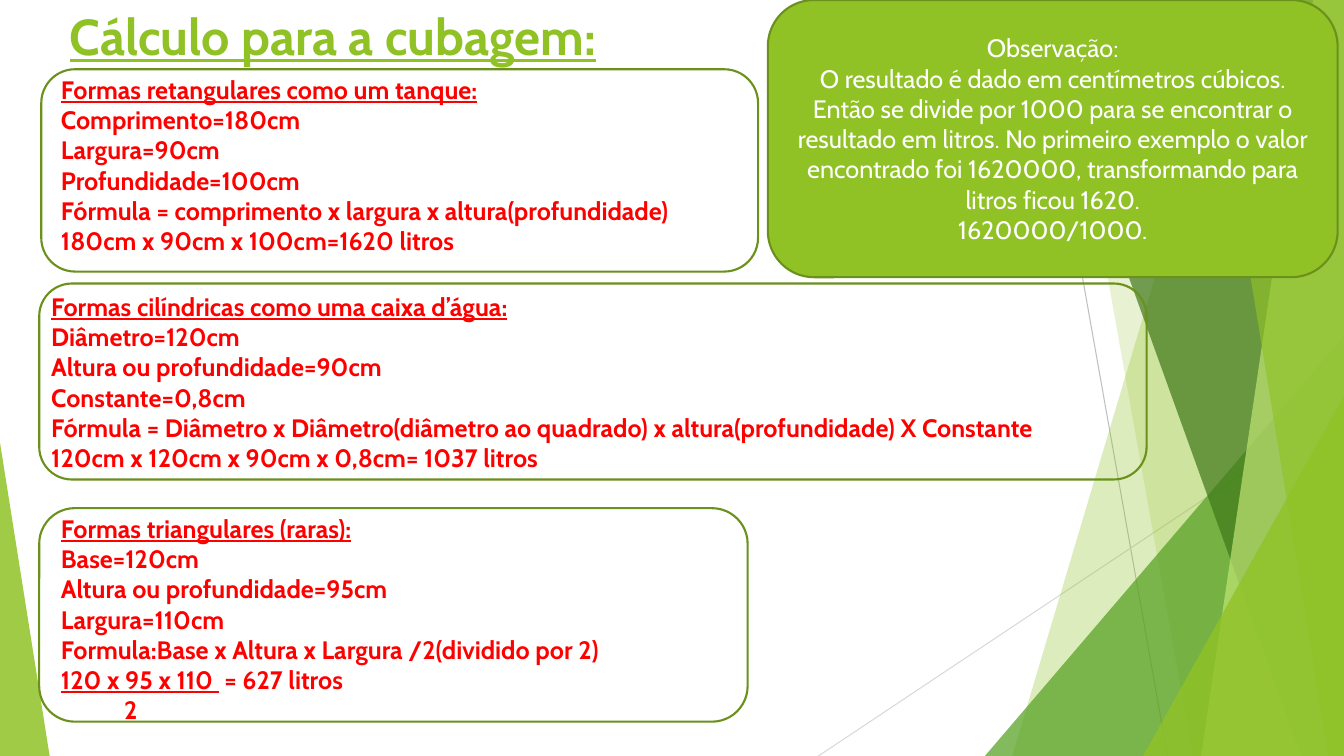
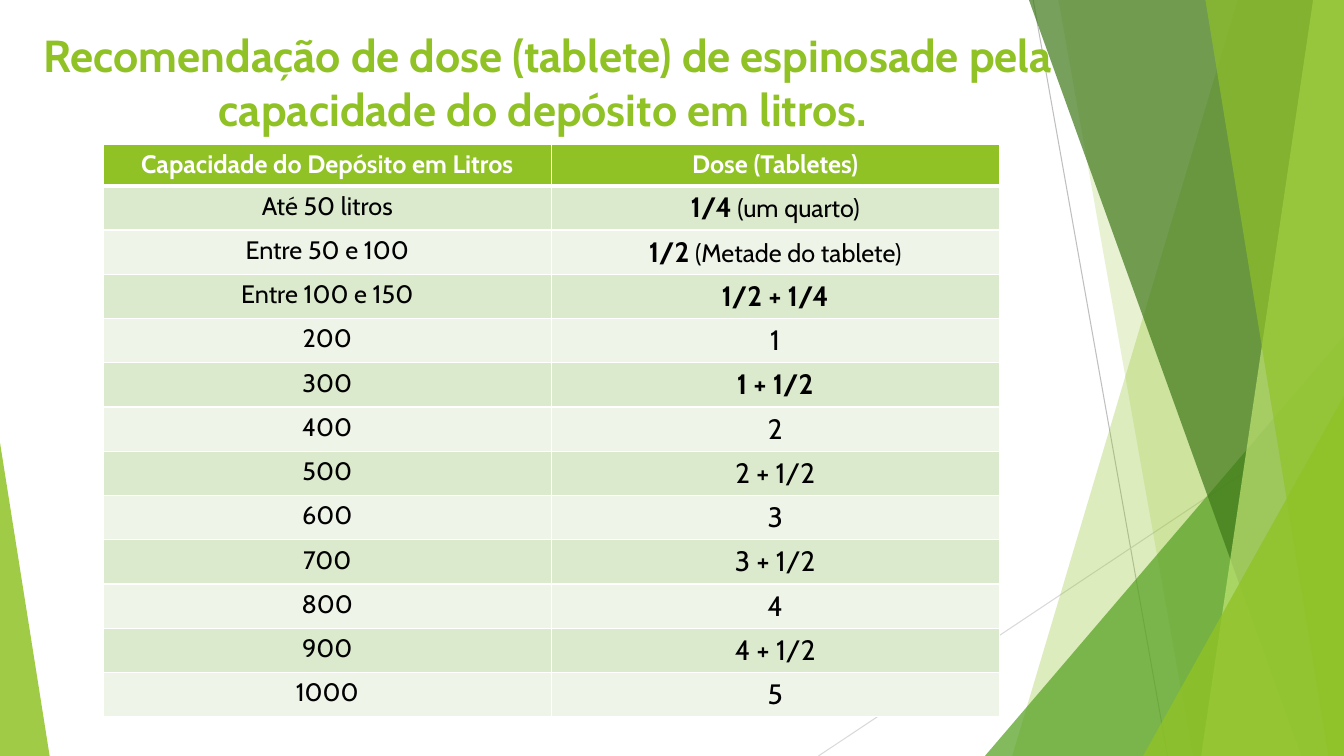
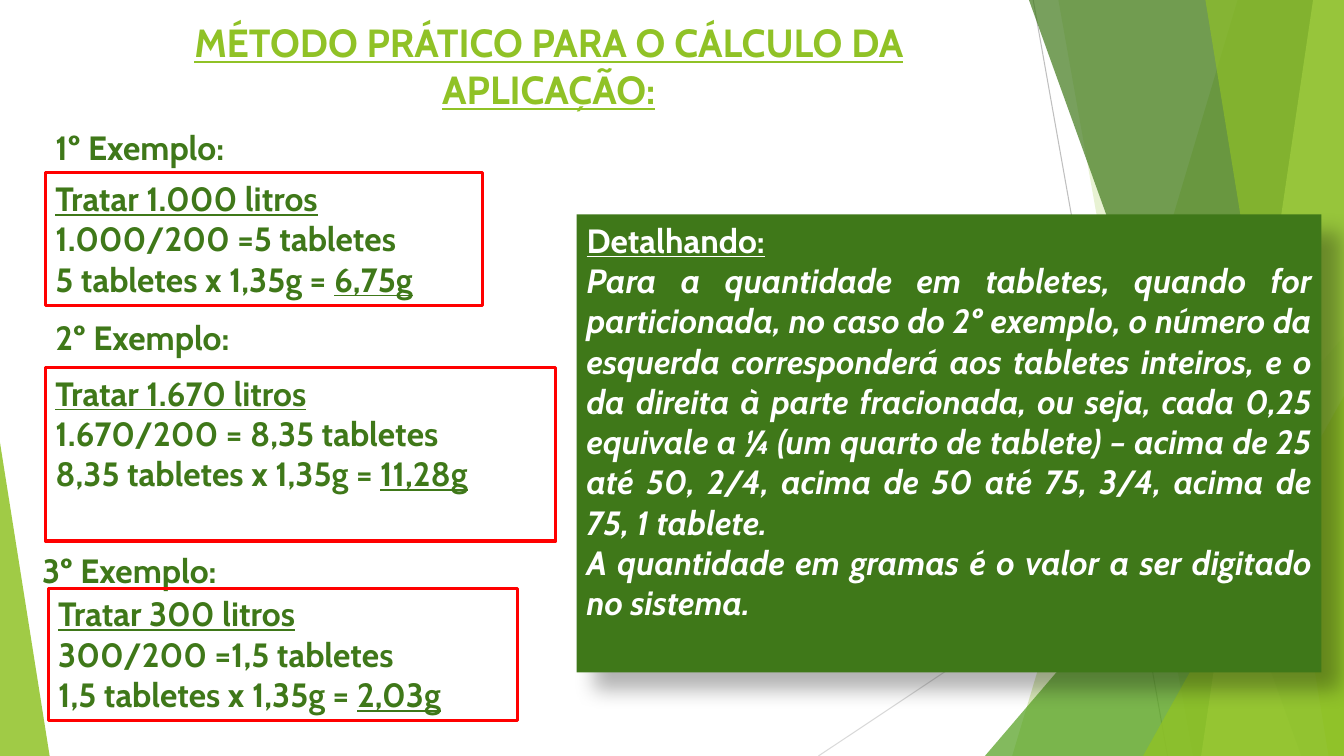
import dataclasses
import typing

import lxml.etree
import pptx
import pptx.dml.color
import pptx.enum.shapes
import pptx.enum.text
import pptx.oxml.ns
import pptx.util

Pt = pptx.util.Pt
qn = pptx.oxml.ns.qn
Shapes = pptx.enum.shapes.MSO_SHAPE
Align = pptx.enum.text.PP_ALIGN
Anchor = pptx.enum.text.MSO_ANCHOR

WIDTH, HEIGHT = 960, 540
FONT = "Cabin"
COLORS = {
    "lime": "90C226", "pale lime": "C0E474", "leaf": "54A021", "forest": "3F7819",
    "olive": "6B901C", "red": "FF0000", "white": "FFFFFF", "black": "000000",
    "gray": "BFBFBF", "light gray": "D9D9D9",
    "odd row": "DBE9CD", "even row": "EEF4E8",
}


class Span(typing.NamedTuple):
    text: str
    look: dict = {}


class Para(typing.NamedTuple):
    spans: list[Span]
    indent: float = 0


class Area(typing.NamedTuple):
    left: float
    top: float
    width: float
    height: float

    def lengths(self) -> list[int]:
        return [Pt(value) for value in self]


class Ray(typing.NamedTuple):
    start: tuple[float, float]
    end: tuple[float, float]
    color: str


class Band(typing.NamedTuple):
    """A band with a slanted left edge that runs to the right side of the slide."""
    top_left: float
    bottom_left: float
    color: str
    opacity: int


class Wedge(typing.NamedTuple):
    area: Area
    apex: float
    color: str
    opacity: int


@dataclasses.dataclass
class Example:
    label: str
    label_at: tuple[float, float]
    area: Area
    lines: list[Para]


BACKDROP = [
    Ray((738, 0), (834, HEIGHT), "gray"),
    Ray((WIDTH, 290), (584.6, HEIGHT), "light gray"),
    Band(884, 723, "lime", 30),
    Band(756, 852, "lime", 20),
    Wedge(Area(703.5, 240, 256.5, 300), 1, "leaf", 72),
    Band(735, 929.5, "forest", 70),
    Band(938, 858, "pale lime", 70),
    Band(861, 949, "lime", 65),
    Wedge(Area(816.5, 283, 143.5, 257), 1, "lime", 80),
    Wedge(Area(0, 316, 35.5, 224), 0, "lime", 85),
]


def plain(text: str, indent: float = 0, **look) -> Para:
    return Para([Span(text, look)], indent)


def rgb(name: str) -> pptx.dml.color.RGBColor:
    return pptx.dml.color.RGBColor.from_string(COLORS[name])


def add_node(parent, tag: str, **values):
    return lxml.etree.SubElement(
        parent, qn(tag), {key: str(value) for key, value in values.items()})


def write(frame, paras: list[Para], size: float, color: str,
          align=Align.LEFT, anchor=Anchor.TOP, **look) -> None:
    """Fill a text frame; the look of a span overrides the common look."""
    settings = {"word_wrap": True, "auto_size": pptx.enum.text.MSO_AUTO_SIZE.NONE,
                "vertical_anchor": anchor}
    for name, value in settings.items():
        setattr(frame, name, value)
    write_paras(frame, paras, size, color, align, **look)


def write_paras(frame, paras: list[Para], size: float, color: str, align, **look) -> None:
    for index, (spans, indent) in enumerate(paras):
        para = frame.paragraphs[0] if index == 0 else frame.add_paragraph()
        para.alignment = align
        if indent:
            para._p.get_or_add_pPr().set("marL", str(Pt(indent)))
        for span in spans:
            run = para.add_run()
            run.text = span.text
            font_format = {"name": FONT, "size": Pt(size)} | look | span.look
            for name, value in font_format.items():
                setattr(run.font, name, value)
            run.font.color.rgb = rgb(color)


def paint(shape, fill: str | None = None, opacity: int = 100,
          line: str | None = None, line_width: float = 1) -> None:
    shape.shadow.inherit = False
    if fill:
        shape.fill.solid()
        shape.fill.fore_color.rgb = rgb(fill)
        if opacity < 100:
            color_node = shape.element.spPr.find(f".//{qn('a:srgbClr')}")
            add_node(color_node, "a:alpha", val=opacity * 1000)
    else:
        shape.fill.background()
    if line:
        shape.line.color.rgb = rgb(line)
        shape.line.width = Pt(line_width)
    else:
        shape.line.fill.background()


def cast_shadow(shape) -> None:
    effects = shape.element.spPr.find(qn("a:effectLst"))
    shadow = add_node(effects, "a:outerShdw", blurRad=Pt(15), dist=Pt(18),
                      dir=45 * 60000, algn="tl", rotWithShape=0)
    color_node = add_node(shadow, "a:srgbClr", val=COLORS["black"])
    add_node(color_node, "a:alpha", val=30000)


def draw_ray(page, ray: Ray):
    ends = [Pt(value) for value in ray.start + ray.end]
    line = page.shapes.add_connector(pptx.enum.shapes.MSO_CONNECTOR.STRAIGHT, *ends)
    line.line.color.rgb = rgb(ray.color)
    line.line.width = Pt(0.75)
    add_node(line.element.spPr, "a:effectLst")
    return line


def draw_band(page, band: Band):
    outline = page.shapes.build_freeform(Pt(band.top_left), 0)
    corners = [(WIDTH, 0), (WIDTH, HEIGHT), (band.bottom_left, HEIGHT)]
    outline.add_line_segments([(Pt(x), Pt(y)) for x, y in corners], close=True)
    shape = outline.convert_to_shape()
    paint(shape, band.color, band.opacity)
    return shape


def draw_wedge(page, wedge: Wedge):
    shape = page.shapes.add_shape(Shapes.ISOSCELES_TRIANGLE, *wedge.area.lengths())
    shape.adjustments[0] = wedge.apex
    paint(shape, wedge.color, wedge.opacity)
    return shape


def move_backdrop_to_layout(page) -> None:
    """Draw the backdrop on a page, then hand it to the layout that all pages share."""
    painters = {Ray: draw_ray, Band: draw_band, Wedge: draw_wedge}
    for number, item in enumerate(BACKDROP, start=100):
        element = painters[type(item)](page, item).element
        next(element.iter(qn("p:cNvPr"))).set("id", str(number))
        page.slide_layout.shapes.element.append(element)


def set_title(page, area: Area, spans: list[Span], size: float,
              align=Align.CENTER, **look) -> None:
    title = page.shapes.title
    title.left, title.top, title.width, title.height = area.lengths()
    write(title.text_frame, [Para(spans)], size, "lime", align, **look)


def add_text(page, area: Area, paras: list[Para], size: float, color: str) -> None:
    box = page.shapes.add_textbox(*area.lengths())
    write(box.text_frame, paras, size, color, bold=True)


def build_volume_page(page) -> None:
    set_title(page, Area(42.5, 0, 427, 64), [Span("Cálculo para a cubagem:")], 36,
              Align.LEFT, bold=True, underline=True)
    blocks = [
        (Area(36.5, 49.5, 498, 138), Area(29.5, 49.5, 512, 144.5),
         "Formas retangulares como um tanque:",
         [plain("Comprimento=180cm"),
          plain("Largura=90cm"),
          plain("Profundidade=100cm"),
          plain("Fórmula = comprimento x largura x altura(profundidade)"),
          plain("180cm x 90cm x 100cm=1620 litros")]),
        (Area(29.5, 204.5, 790, 138), Area(28, 202.5, 791, 140),
         "Formas cilíndricas como uma caixa d’água:",
         [plain("Diâmetro=120cm"),
          plain("Altura ou profundidade=90cm"),
          plain("Constante=0,8cm"),
          plain("Fórmula = Diâmetro x Diâmetro(diâmetro ao quadrado)"
                " x altura(profundidade) X Constante"),
          plain("120cm x 120cm x 90cm x 0,8cm= 1037 litros")]),
        (Area(36.5, 363, 441, 176), Area(28, 363, 506, 152.5),
         "Formas triangulares (raras):",
         [plain("Base=120cm"),
          plain("Altura ou profundidade=95cm"),
          plain("Largura=110cm"),
          plain("Formula:Base x Altura x Largura /2(dividido por 2)"),
          Para([Span("120 x 95 x 110 ", {"underline": True}), Span(" = 627 litros")]),
          plain("2", indent=45)]),
    ]
    for text_area, frame_area, heading, lines in blocks:
        add_text(page, text_area, [plain(heading, underline=True), *lines], 18, "red")
        outline = page.shapes.add_shape(Shapes.ROUNDED_RECTANGLE, *frame_area.lengths())
        paint(outline, line="olive", line_width=1.5)

    note = page.shapes.add_shape(
        Shapes.ROUNDED_RECTANGLE, *Area(548.5, 0, 407, 198).lengths())
    paint(note, "lime", line="olive", line_width=1.5)
    write(note.text_frame, [
        plain("Observação:"),
        plain("O resultado é dado em centímetros cúbicos. Então se divide por 1000 para se "
              "encontrar o resultado em litros. No primeiro exemplo o valor encontrado foi "
              "1620000, transformando para litros ficou 1620."),
        plain("1620000/1000."),
    ], 18, "white", Align.CENTER, Anchor.MIDDLE)


def set_borders(cell, top: float, bottom: float) -> None:
    properties = cell._tc.get_or_add_tcPr()
    sides = [("a:lnL", 1), ("a:lnR", 1), ("a:lnT", top), ("a:lnB", bottom)]
    for index, (tag, width) in enumerate(sides):
        border = add_node(properties, tag, w=Pt(width))
        add_node(add_node(border, "a:solidFill"), "a:srgbClr", val=COLORS["white"])
        properties.insert(index, border)


def build_dose_page(page) -> None:
    bold = {"bold": True}
    set_title(page, Area(10, 16.5, 756, 88.5), [
        Span(" "),
        Span("Recomendação de dose (tablete) de espinosade pela capacidade do depósito "
             "em litros.", bold)], 32)
    small = {"size": Pt(18)}
    doses = [
        ("Até 50 litros", [Span("1/4", bold), Span(" (um quarto)", small)]),
        ("Entre 50 e 100", [Span("1/2", bold), Span(" (Metade do tablete)", small)]),
        ("Entre 100 e 150", [Span("1/2 + 1/4", bold)]),
        ("200", [Span("1")]),
        ("300", [Span("1 + 1/2", bold)]),
        ("400", [Span("2")]),
        ("500", [Span("2 + 1/2")]),
        ("600", [Span("3")]),
        ("700", [Span("3 + 1/2")]),
        ("800", [Span("4")]),
        ("900", [Span("4 + 1/2")]),
        ("1000", [Span("5")]),
    ]
    row_height = 29.5
    area = Area(73.75, 103.25, 640, row_height * (len(doses) + 1))
    table = page.shapes.add_table(len(doses) + 1, 2, *area.lengths()).table
    headings = [plain("Capacidade do Depósito em Litros"), plain("Dose (Tabletes)")]
    rows = [headings] + [[plain(volume), Para(dose)] for volume, dose in doses]
    for row_index, row in enumerate(rows):
        header = row_index == 0
        fill = "lime" if header else "odd row" if row_index % 2 else "even row"
        for column, para in enumerate(row):
            cell = table.cell(row_index, column)
            cell.fill.solid()
            cell.fill.fore_color.rgb = rgb(fill)
            set_borders(cell, 3 if row_index == 1 else 1, 3 if header else 1)
            write_paras(cell.text_frame, [para], 18 if header or column == 0 else 20,
                        "white" if header else "black", Align.CENTER, bold=header)


def example_lines(heading: str, division: str, product: str, grams: str) -> list[Para]:
    underlined = {"underline": True}
    return [Para([Span(heading, underlined)]), plain(division),
            Para([Span(product), Span(grams, underlined)])]


def build_method_page(page) -> None:
    set_title(page, Area(53.5, 9.5, 677, 75),
              [Span("MÉTODO PRÁTICO PARA O CÁLCULO DA APLICAÇÃO:")], 28,
              bold=True, underline=True)
    examples = [
        Example("1º Exemplo:", (32.5, 87), Area(32.5, 123.5, 312.5, 94.5), example_lines(
            "Tratar 1.000 litros", "1.000/200 =5 tabletes",
            "5 tabletes x 1,35g = ", "6,75g")),
        Example("2º Exemplo:", (32.5, 222.5), Area(32.5, 262.5, 364.5, 124), example_lines(
            "Tratar 1.670 litros", "1.670/200 = 8,35 tabletes",
            "8,35 tabletes x 1,35g = ", "11,28g")),
        Example("3º Exemplo:", (23, 389.5), Area(34.5, 420.25, 335.5, 94.5), example_lines(
            "Tratar 300 litros", "300/200 =1,5 tabletes",
            "1,5 tabletes x 1,35g = ", "2,03g")),
    ]
    for example in examples:
        add_text(page, Area(*example.label_at, 152.5, 36), [plain(example.label)],
                 24, "forest")
        box = page.shapes.add_shape(Shapes.RECTANGLE, *example.area.lengths())
        paint(box, line="red", line_width=2.25)
        write(box.text_frame, example.lines, 24, "forest", bold=True)

    details = page.shapes.add_shape(
        Shapes.RECTANGLE, *Area(412, 153.25, 532, 327).lengths())
    paint(details, "forest")
    cast_shadow(details)
    write(details.text_frame, [
        plain("Detalhando:", underline=True),
        plain("Para a quantidade em tabletes, quando for particionada, no caso do 2º exemplo, "
              "o número da esquerda corresponderá aos tabletes inteiros, e o da direita à "
              "parte fracionada, ou seja, cada 0,25 equivale a ¼ (um quarto de tablete) – "
              "acima de 25 até 50, 2/4, acima de 50 até 75, 3/4, acima de 75, 1 tablete.",
              italic=True),
        plain("A quantidade em gramas é o valor a ser digitado no sistema.", italic=True),
    ], 24, "white", Align.JUSTIFY, bold=True)


def main() -> None:
    deck = pptx.Presentation()
    deck.slide_width, deck.slide_height = Pt(WIDTH), Pt(HEIGHT)
    title_only = deck.slide_layouts[5]
    builders = [build_volume_page, build_dose_page, build_method_page]
    pages = [deck.slides.add_slide(title_only) for _ in builders]
    move_backdrop_to_layout(pages[0])
    for build, page in zip(builders, pages):
        build(page)
    deck.save("out.pptx")


if __name__ == "__main__":
    main()
